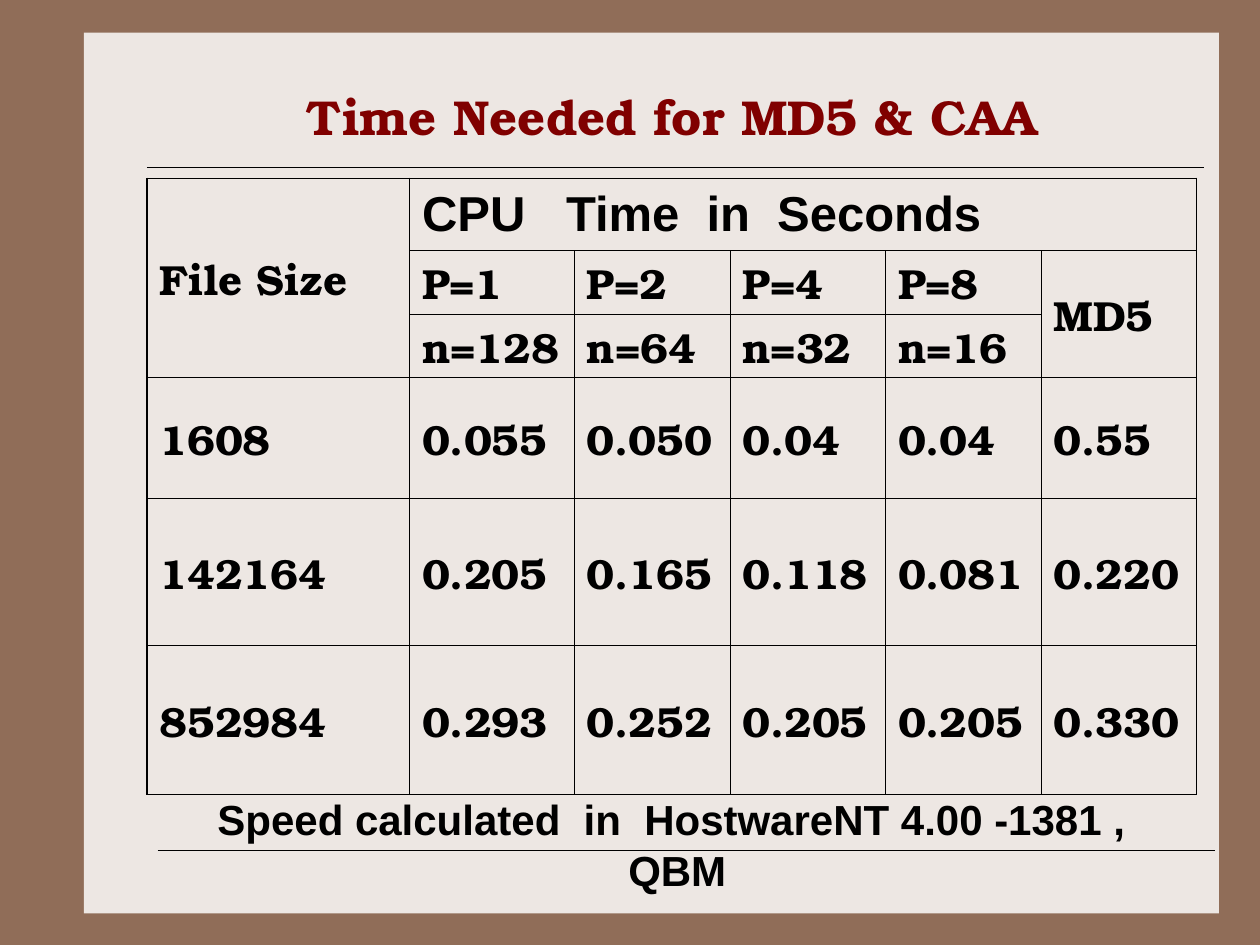
from lxml import etree
from pptx import Presentation
from pptx import util as u
from pptx.dml.color import RGBColor
from pptx.enum import shapes, text
from pptx.oxml import ns

COLORS = {"frame": "906D58", "panel": "EDE7E3", "title": "800000", "ink": "000000"}
SERIF, SANS = "TeX Gyre Bonum", "Arial"
GRID = u.Inches(10) / 120
COLS = [25, 15.7] + [14.82] * 4
ROWS = [6.85, 6.05, 6.05, 11.55, 14, 14.2]
THIN, THICK = 0.45, 1.08
DATA = [
    ["File Size", "CPU   Time  in  Seconds", "", "", "", ""],
    ["", "P=1", "P=2", "P=4", "P=8", "MD5"],
    ["", "n=128", "n=64", "n=32", "n=16", ""],
    ["1608", "0.055", "0.050", "0.04", "0.04", "0.55"],
    ["142164", "0.205", "0.165", "0.118", "0.081", "0.220"],
    ["852984", "0.293", "0.252", "0.205", "0.205", "0.330"],
]
MERGES = [((0, 0), (2, 0)), ((0, 1), (0, 5)), ((1, 5), (2, 5))]


def grid(*units):
    return [u.Emu(round(n * GRID)) for n in units]


def color(name):
    return RGBColor.from_string(COLORS[name])


def set_attrs(obj, values):
    for name, value in values.items():
        setattr(obj, name, value)


def write(tf, words, font, size, ink="ink", align=text.PP_ALIGN.LEFT):
    p = tf.paragraphs[0]
    p.alignment = align
    r = p.add_run()
    r.text = words
    set_attrs(r.font, {"name": font, "size": u.Pt(size), "bold": True})
    r.font.color.rgb = color(ink)


def add_panel(s, *box):
    sp = s.shapes.add_shape(shapes.MSO_SHAPE.RECTANGLE, *grid(*box))
    sp.shadow.inherit = False
    sp.fill.solid()
    sp.fill.fore_color.rgb = color("panel")
    sp.line.fill.background()


def add_rule(s, x1, x2, y):
    line = s.shapes.add_connector(shapes.MSO_CONNECTOR.STRAIGHT, *grid(x1, y, x2, y))
    line.line.color.rgb = color("ink")
    line.line.width = u.Pt(0.75)
    etree.SubElement(line.element.spPr, ns.qn("a:effectLst"))


def add_title(s, words, *box):
    sp = s.shapes.title
    sp.element.getparent().append(sp.element)
    set_attrs(sp, dict(zip(("left", "top", "width", "height"), grid(*box))))
    set_attrs(sp.text_frame, {
        "word_wrap": True,
        "auto_size": text.MSO_AUTO_SIZE.NONE,
        "vertical_anchor": text.MSO_ANCHOR.MIDDLE,
    })
    write(sp.text_frame, words, SERIF, 28, "title", text.PP_ALIGN.CENTER)


def add_caption(s, words, *box):
    tf = s.shapes.add_textbox(*grid(*box)).text_frame
    tf.word_wrap = True
    write(tf, words, SANS, 24, align=text.PP_ALIGN.CENTER)


def set_borders(cell, row, col):
    outer = {
        "L": col == 0,
        "R": col + max(cell.span_width, 1) == len(COLS),
        "T": row == 0,
        "B": row + max(cell.span_height, 1) == len(ROWS),
    }
    tcPr = cell._tc.get_or_add_tcPr()
    for side, is_outer in outer.items():
        width = u.Pt(THICK if is_outer else THIN)
        ln = etree.SubElement(tcPr, ns.qn(f"a:ln{side}"), w=str(int(width)))
        fill = etree.SubElement(ln, ns.qn("a:solidFill"))
        etree.SubElement(fill, ns.qn("a:srgbClr"), val=COLORS["ink"])


def format_cell(cell, row, col, words):
    set_borders(cell, row, col)
    cell.fill.background()
    set_attrs(cell, {
        "vertical_anchor": text.MSO_ANCHOR.MIDDLE,
        "margin_top": 0,
        "margin_bottom": 0,
    })
    if words:
        font, size = (SANS, 28) if (row, col) == (0, 1) else (SERIF, 24)
        write(cell.text_frame, words, font, size)


def add_timings(s, x, y):
    box = grid(x, y, sum(COLS), sum(ROWS))
    table = s.shapes.add_table(len(ROWS), len(COLS), *box).table
    set_attrs(table, {"first_row": False, "horz_banding": False})
    for column, width in zip(table.columns, grid(*COLS)):
        column.width = width
    for row, height in zip(table.rows, grid(*ROWS)):
        row.height = height
    for first, last in MERGES:
        table.cell(*first).merge(table.cell(*last))
    for i, values in enumerate(DATA):
        for j, words in enumerate(values):
            format_cell(table.cell(i, j), i, j, words)


def main():
    prs = Presentation()
    prs.slide_width, prs.slide_height = grid(120, 90)
    s = prs.slides.add_slide(prs.slide_layouts[5])
    s.background.fill.solid()
    s.background.fill.fore_color.rgb = color("frame")
    add_panel(s, 8, 3.1, 108.1, 83.9)
    add_rule(s, 14, 114.7, 15.96)
    add_rule(s, 15, 115.7, 81)
    add_title(s, "Time Needed for MD5 & CAA", 14, 6, 100, 10)
    add_timings(s, 14, 17)
    add_caption(s, "Speed calculated  in  HostwareNT 4.00 -1381 ,  QBM", 15, 75, 99, 10.8)
    prs.save("out.pptx")


if __name__ == "__main__":
    main()
